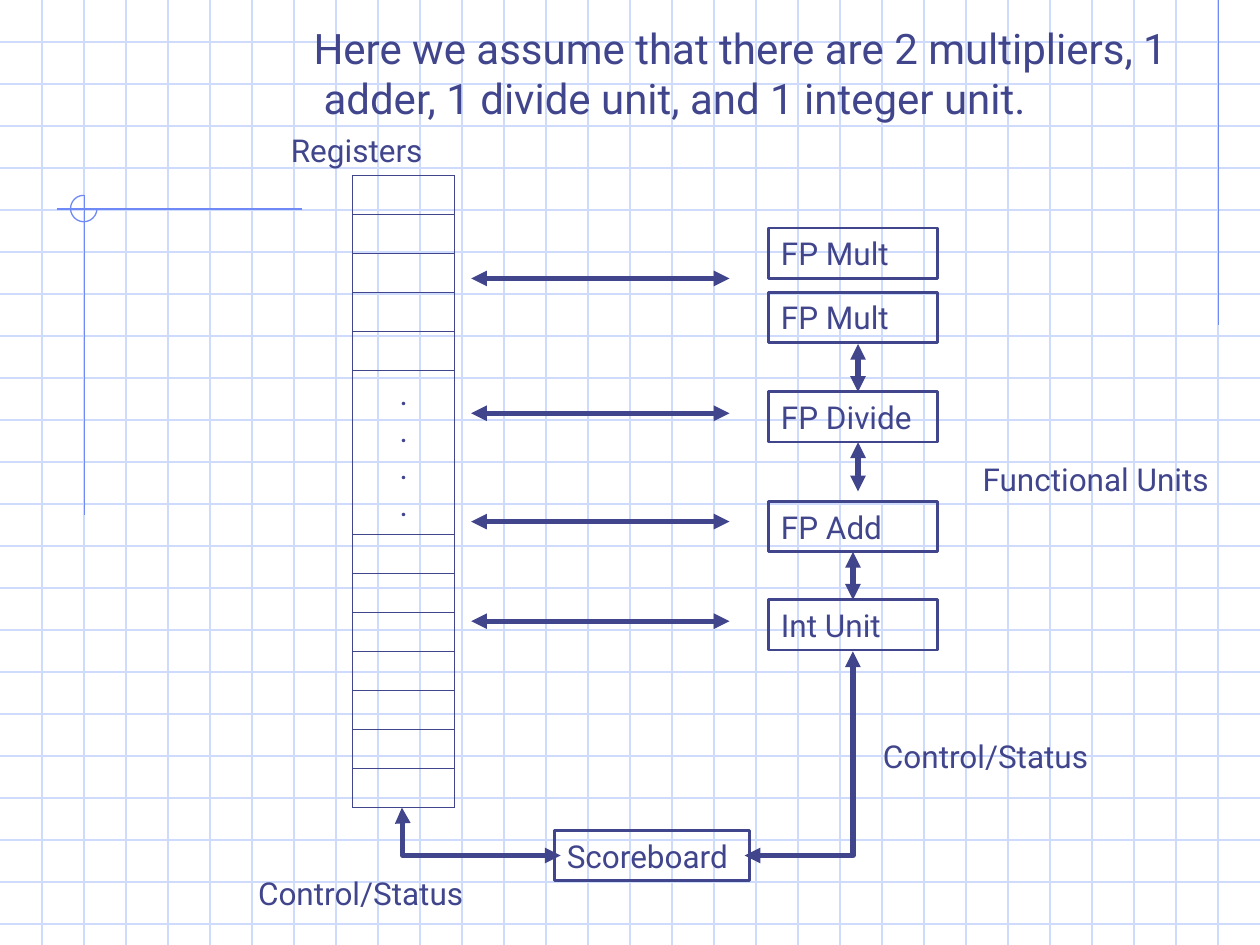
"""Build the scoreboard architecture slide with registers and functional units."""
import pptx
import pptx.dml.color
import pptx.enum.shapes
import pptx.enum.text
import pptx.oxml.ns
import pptx.util
from lxml import etree

Inches = pptx.util.Inches
Pt = pptx.util.Pt
RGBColor = pptx.dml.color.RGBColor
qn = pptx.oxml.ns.qn
CONNECTOR = pptx.enum.shapes.MSO_CONNECTOR
SHAPE = pptx.enum.shapes.MSO_SHAPE

THEME = {
    "ink": RGBColor.from_string("40458C"),
    "grid": RGBColor.from_string("CFDBFD"),
    "accent": RGBColor.from_string("6F89F7"),
    "label": {"name": "Roboto", "size": Pt(18)},
    "heading": {"name": "Roboto", "size": Pt(24)},
    "hairline": 0.75, "border": 0.45, "outline": 1.5, "arrow": 3,
}
FRAME_FORMAT = {
    "margin_left": Inches(0.1), "margin_right": Inches(0.1),
    "margin_top": Inches(0.05), "margin_bottom": Inches(0.05),
    "vertical_anchor": pptx.enum.text.MSO_ANCHOR.TOP,
    "auto_size": pptx.enum.text.MSO_AUTO_SIZE.SHAPE_TO_FIT_TEXT,
}

WIDTH, HEIGHT, GRID_PARTS = 10, 7.5, 3
ACCENT_LINES = [(9.67, 0, 9.67, 2.58), (2.4, 1.66, 0.45, 1.66), (0.67, 1.55, 0.67, 4.09)]
HEADING = ["Here we assume that there are 2 multipliers, 1",
           "adder, 1 divide unit, and 1 integer unit."]
HEADING_BOX = (2.39, 0.13, 7.44, 0.9)
LABELS = [
    ("Registers", (2.21, 0.99, 1.29, 0.4)),
    ("Control/Status", (6.91, 5.8, 1.9, 0.4)),
    ("Control/Status", (1.95, 6.89, 1.9, 0.4)),
    ("Functional Units", (7.7, 3.6, 2.1, 0.4)),
]
UNITS = [("FP Mult", 1.81), ("FP Mult", 2.32), ("FP Divide", 3.11),
         ("FP Add", 3.98), ("Int Unit", 4.76)]
UNIT_LEFT, UNIT_WIDTH, UNIT_HEIGHT = 6.1, 1.34, 0.4
SCOREBOARD = ("Scoreboard", (4.4, 6.59, 1.55, 0.4))
REGISTER_BOX = (2.8, 1.39, 0.81, 5.03)
REGISTERS = [[]] * 5 + [["."] * 4] + [[]] * 7
REGISTER_HEIGHT, GAP_HEIGHT = 0.31, 1.3
BUS_LEFT, BUS_RIGHT = 3.74, 5.79
BUS_TOPS = [2.21, 3.28, 4.14, 4.93]
UNIT_LINKS = [(6.81, 2.73, 6.81, 3.11), (6.81, 3.51, 6.81, 3.9)]
ELBOWS = [("bentConnector3", {"adj1": 500}, (3.19, 6.41, 4.45, 6.79)),
          ("bentConnector2", {}, (5.91, 6.79, 6.77, 5.17))]


def apply_format(target, values):
    for name, value in values.items():
        setattr(target, name, value)


def write_paragraphs(frame, lines, style, alignment=None):
    for index, line in enumerate(lines):
        paragraph = frame.paragraphs[0] if index == 0 else frame.add_paragraph()
        paragraph.alignment = alignment
        run = paragraph.add_run()
        run.text = line
        apply_format(run.font, THEME[style])
        run.font.color.rgb = THEME["ink"]


def add_line(shapes, ends, color, weight, kind=CONNECTOR.STRAIGHT):
    connector = shapes.add_connector(kind, *map(Inches, ends))
    connector.line.color.rgb = THEME[color]
    connector.line.width = Pt(THEME[weight])
    etree.SubElement(connector._element.spPr, qn("a:effectLst"))
    return connector


def add_arrow(shapes, ends, kind=CONNECTOR.STRAIGHT):
    connector = add_line(shapes, ends, "ink", "arrow", kind)
    line = connector._element.spPr.find(qn("a:ln"))
    for end in ("a:headEnd", "a:tailEnd"):
        etree.SubElement(line, qn(end), type="triangle")
    return connector


def add_elbow(shapes, preset, adjustments, ends):
    connector = add_arrow(shapes, ends, CONNECTOR.ELBOW)
    geometry = connector._element.spPr.find(qn("a:prstGeom"))
    geometry.set("prst", preset)
    for name, value in adjustments.items():
        guides = geometry.find(qn("a:avLst"))
        etree.SubElement(guides, qn("a:gd"), name=name, fmla=f"val {value}")


def add_text(shapes, lines, box, style="label"):
    shape = shapes.add_textbox(*map(Inches, box))
    apply_format(shape.text_frame, {**FRAME_FORMAT, "word_wrap": False})
    write_paragraphs(shape.text_frame, lines, style)
    return shape


def add_box(shapes, text, box, wrap=True):
    shape = shapes.add_shape(SHAPE.RECTANGLE, *map(Inches, box))
    shape.shadow.inherit = False
    shape.fill.background()
    shape.line.color.rgb = THEME["ink"]
    shape.line.width = Pt(THEME["outline"])
    apply_format(shape.text_frame, {**FRAME_FORMAT, "word_wrap": wrap})
    write_paragraphs(shape.text_frame, [text], "label", pptx.enum.text.PP_ALIGN.LEFT)
    return shape


def add_background(slide):
    shapes = slide.shapes.add_group_shape().shapes
    for index in range(1, int(HEIGHT * GRID_PARTS) + 1):
        top = index / GRID_PARTS
        add_line(shapes, (0, top, WIDTH, top), "grid", "hairline")
    for index in range(1, WIDTH * GRID_PARTS):
        left = index / GRID_PARTS
        add_line(shapes, (left, 0, left, HEIGHT), "grid", "hairline")
    for ends in ACCENT_LINES:
        add_line(shapes, ends, "accent", "hairline")
    arc = shapes.add_shape(SHAPE.ARC, *map(Inches, (0.56, 1.55, 0.21, 0.21)))
    arc.adjustments[0], arc.adjustments[1] = 0, 162
    arc.shadow.inherit = False
    arc.fill.background()
    arc.line.color.rgb = THEME["accent"]
    arc.line.width = Pt(THEME["hairline"])


def add_borders(cell):
    properties = cell._tc.get_or_add_tcPr()
    for index, side in enumerate(("a:lnL", "a:lnR", "a:lnT", "a:lnB")):
        border = etree.Element(qn(side), w=str(Pt(THEME["border"])))
        fill = etree.SubElement(border, qn("a:solidFill"))
        etree.SubElement(fill, qn("a:srgbClr"), val=str(THEME["ink"]))
        properties.insert(index, border)


def add_registers(slide):
    box = map(Inches, REGISTER_BOX)
    table = slide.shapes.add_table(len(REGISTERS), 1, *box).table
    apply_format(table, {"first_row": False, "horz_banding": False})
    for row, lines in zip(table.rows, REGISTERS):
        row.height = Inches(GAP_HEIGHT if lines else REGISTER_HEIGHT)
        cell = row.cells[0]
        margin = Inches(0.05 if lines else 0)
        apply_format(cell, {"margin_top": margin, "margin_bottom": margin})
        cell.fill.background()
        add_borders(cell)
        write_paragraphs(cell.text_frame, lines, "label", pptx.enum.text.PP_ALIGN.CENTER)
        if not lines:
            paragraph = cell.text_frame.paragraphs[0]
            etree.SubElement(paragraph._p, qn("a:endParaRPr"), sz="1200")


def main():
    presentation = pptx.Presentation()
    apply_format(presentation, {"slide_width": Inches(WIDTH), "slide_height": Inches(HEIGHT)})
    slide = presentation.slides.add_slide(presentation.slide_layouts[6])
    shapes = slide.shapes
    add_background(slide)
    add_registers(slide)
    add_box(shapes, *SCOREBOARD, wrap=False)
    units = [add_box(shapes, name, (UNIT_LEFT, top, UNIT_WIDTH, UNIT_HEIGHT))
             for name, top in UNITS]
    for elbow in ELBOWS:
        add_elbow(shapes, *elbow)
    buses = [(BUS_LEFT, top, BUS_RIGHT, top) for top in BUS_TOPS]
    for ends in buses + UNIT_LINKS:
        add_arrow(shapes, ends)
    adder_link = add_arrow(shapes, (6.77, 4.38, 6.77, 4.76))
    adder_link.begin_connect(units[-2], 2)
    adder_link.end_connect(units[-1], 0)
    for text, box in LABELS:
        add_text(shapes, [text], box)
    heading = add_text(shapes, HEADING, HEADING_BOX, "heading")
    indented = heading.text_frame.paragraphs[1]._p.get_or_add_pPr()
    indented.set("marL", str(Inches(0.08)))
    presentation.save("out.pptx")


if __name__ == "__main__":
    main()
